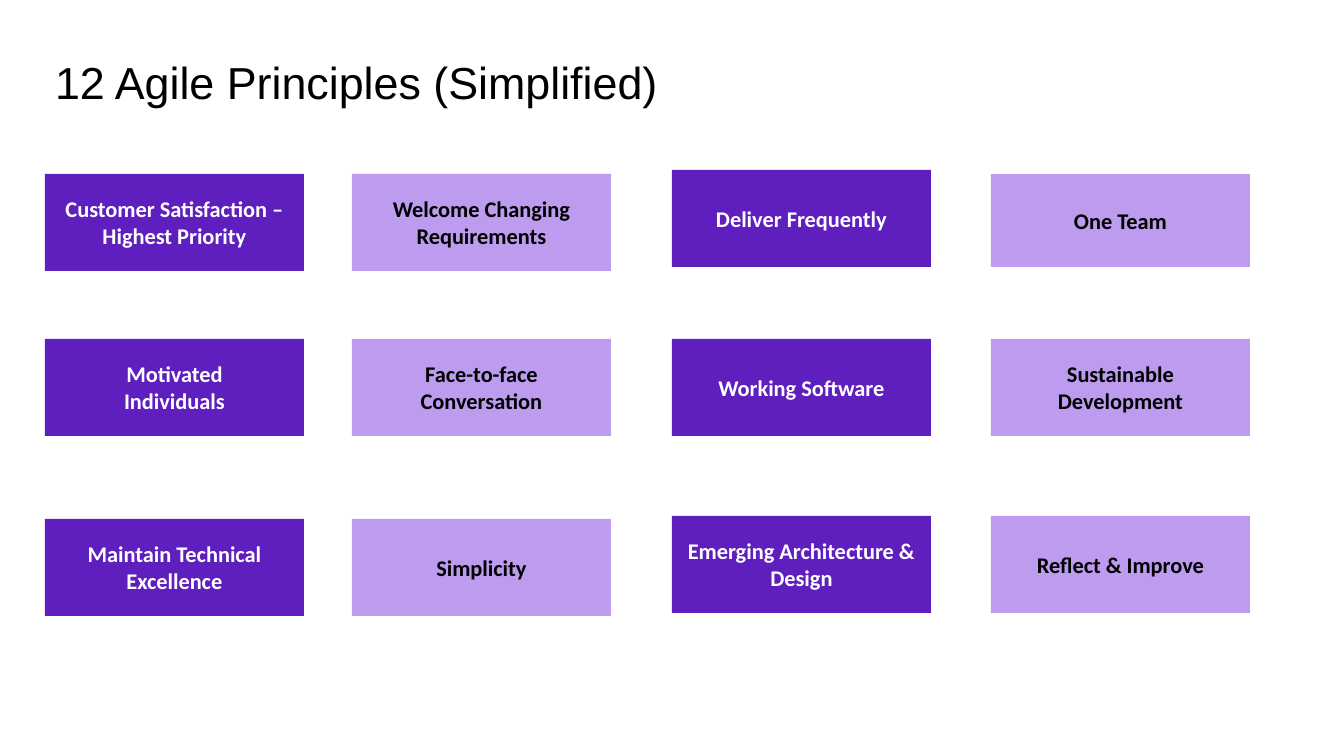
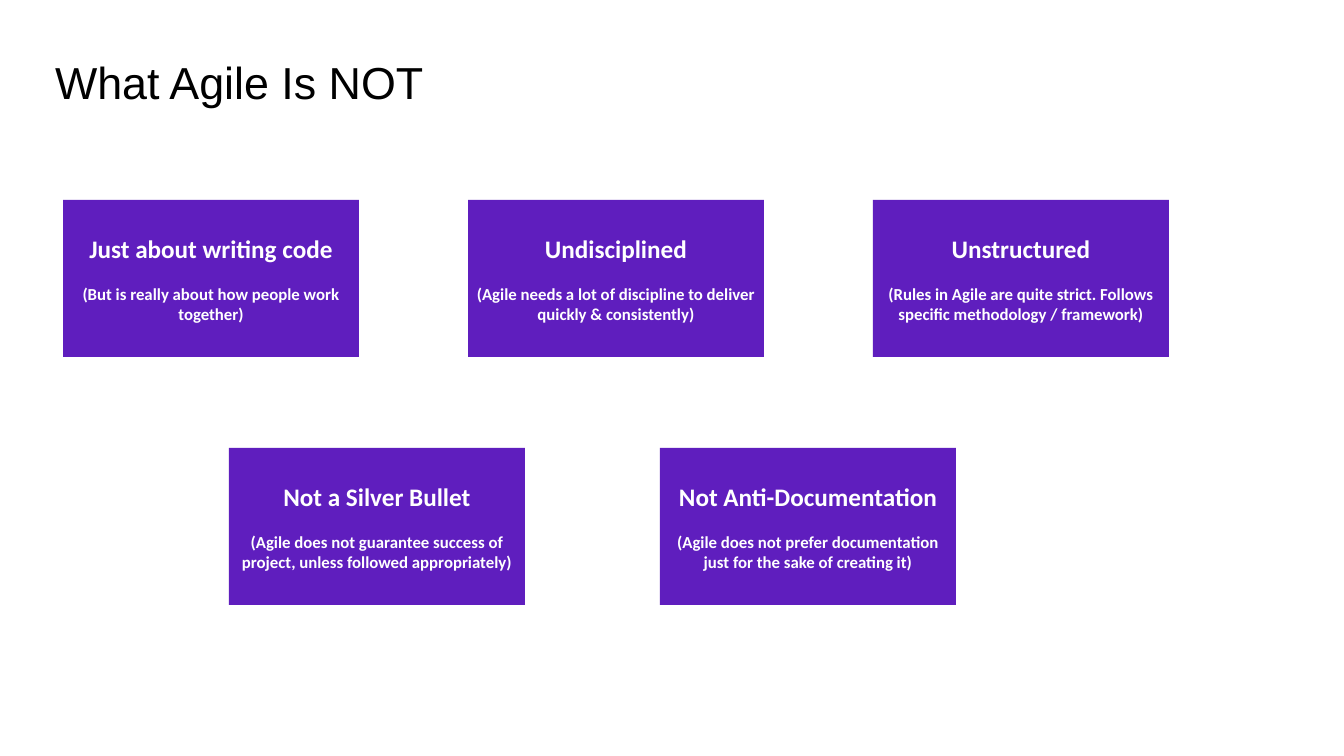
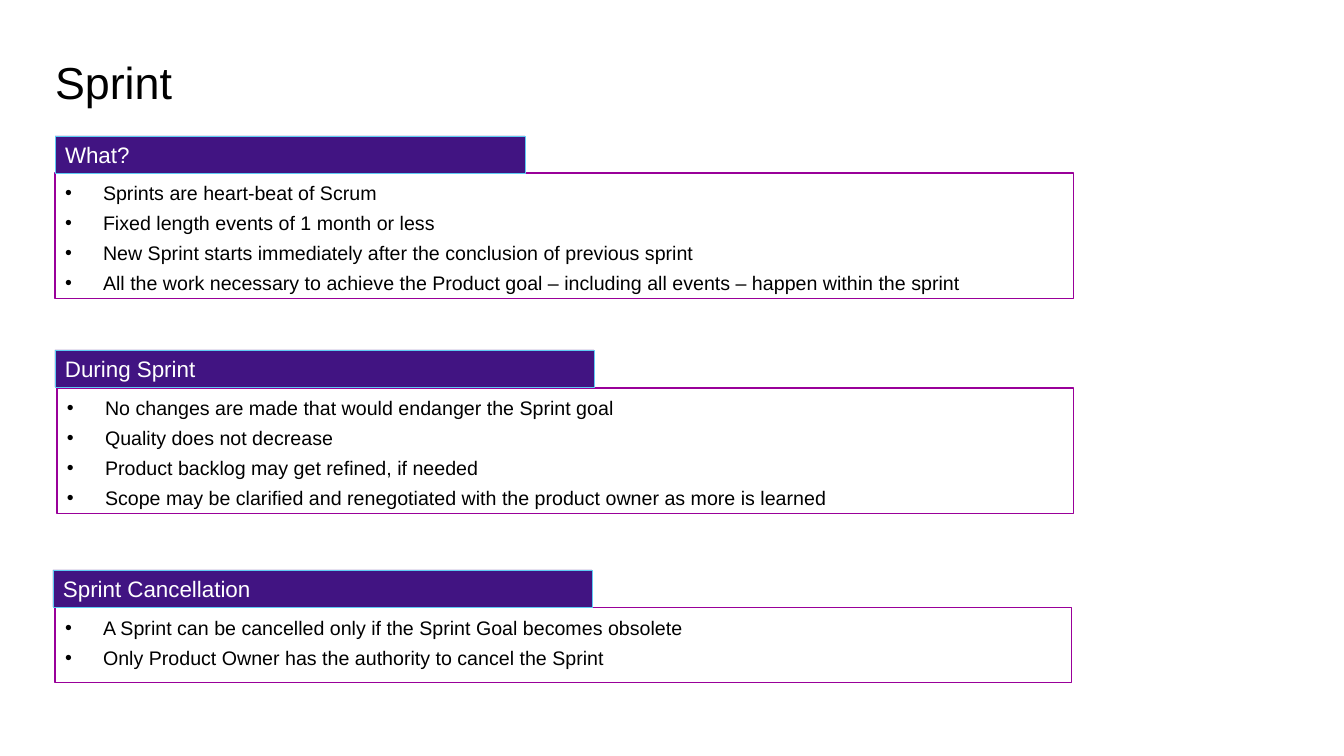
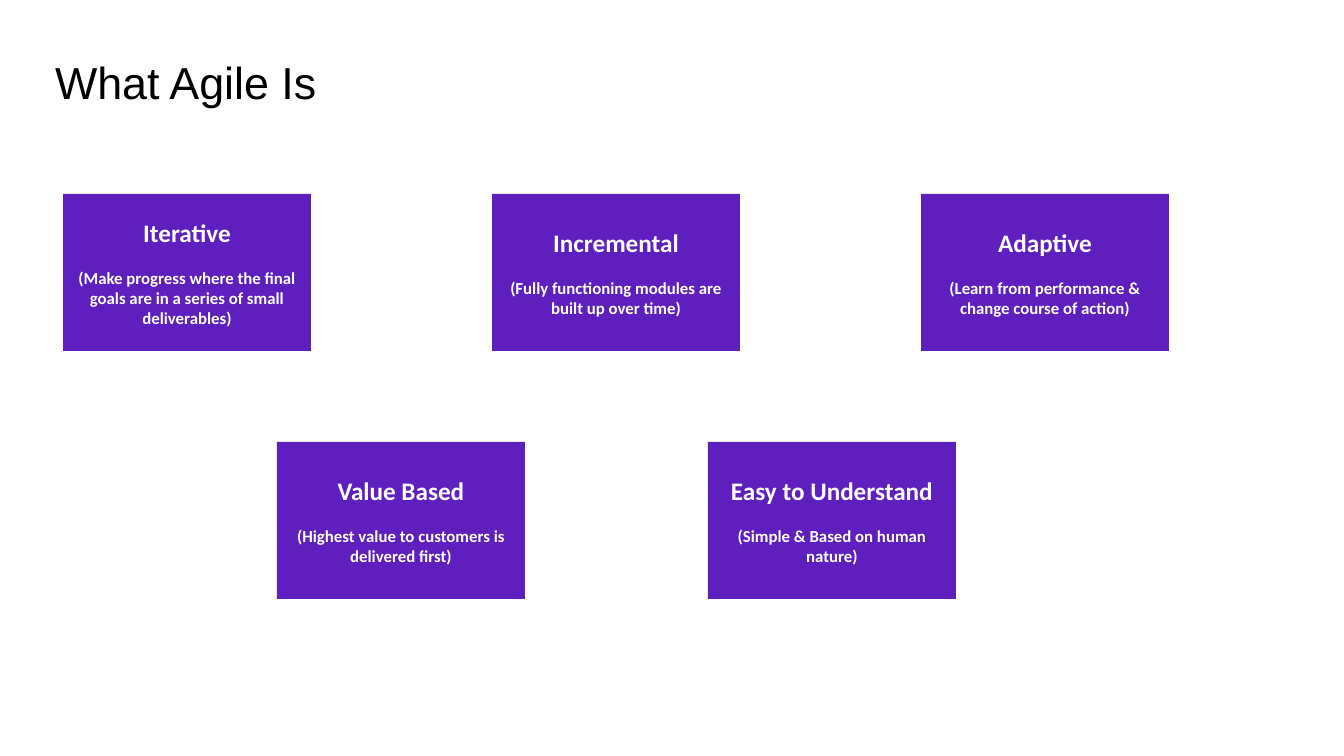
from lxml.etree import SubElement
from pptx import Presentation
from pptx.dml.color import RGBColor
from pptx.enum.shapes import MSO_SHAPE
from pptx.enum.text import MSO_ANCHOR, MSO_AUTO_SIZE, PP_ALIGN
from pptx.oxml.ns import qn
from pptx.util import Emu, Pt

WIDE, HIGH = 1344, 756
SCALE = 12192000 / WIDE
BLACK, WHITE = "000000", "FFFFFF"
DARK, LIGHT = "5F1EBE", "BD9BEF"
BAND, CYAN, PINK = "411482", "5ECCF3", "990099"


def px(count):
    return Emu(round(count * SCALE))


def paint(target, color):
    target.rgb = RGBColor.from_string(color)


def style(para, name, size, color, bold=False):
    font = para.font
    font.name, font.size, font.bold = name, Pt(size), bold
    paint(font.color, color)


def start(deck, text):
    slide = deck.slides.add_slide(deck.slide_layouts[5])
    title = slide.shapes.title
    title.left, title.top, title.width, title.height = map(px, (55, 62, 1149, 47))
    frame = title.text_frame
    frame.text = text
    frame.auto_size = MSO_AUTO_SIZE.NONE
    frame.vertical_anchor = MSO_ANCHOR.BOTTOM
    frame.margin_left = frame.margin_right = 0
    frame.margin_top = frame.margin_bottom = 0
    para = frame.paragraphs[0]
    para.alignment = PP_ALIGN.LEFT
    para.line_spacing = 0.84
    style(para, "Arial", 32, BLACK)
    return slide


def box(slide, place, lines, fill=None, edge=None, weight=0.75):
    shape = slide.shapes.add_shape(MSO_SHAPE.RECTANGLE, *map(px, place))
    shape.shadow.inherit = False
    if fill:
        shape.fill.solid()
        paint(shape.fill.fore_color, fill)
    else:
        shape.fill.background()
    if edge:
        paint(shape.line.color, edge)
        shape.line.width = Pt(weight)
    else:
        shape.line.fill.background()
    frame = shape.text_frame
    frame.text = "\n".join(lines)
    frame.word_wrap = True
    frame.margin_left = frame.margin_right = px(8)
    return frame


def tile(slide, place, lines, fill):
    frame = box(slide, place, lines, fill)
    for para in frame.paragraphs:
        para.alignment = PP_ALIGN.CENTER
        style(para, "Calibri", 16, WHITE if fill == DARK else BLACK, True)


def card(slide, place, head, note):
    top, low = box(slide, place, (head, f"({note})"), DARK).paragraphs
    low.space_before = Pt(14.6)
    for para, size in ((top, 18), (low, 12)):
        para.alignment = PP_ALIGN.CENTER
        style(para, "Calibri", size, WHITE, True)


def row(slide, left, top, step, width, cards):
    for index, (head, note) in enumerate(cards):
        card(slide, (left + index * step, top, width, 157), head, note)


def bullet(para):
    props = para._p.get_or_add_pPr()
    props.set("marL", str(px(38)))
    props.set("indent", str(-px(38)))
    SubElement(props, qn("a:buFont"), typeface="Arial")
    SubElement(props, qn("a:buChar"), char="•")


def panel(slide, place, lines):
    frame = box(slide, place, lines, edge=PINK)
    frame.vertical_anchor = MSO_ANCHOR.TOP
    frame.margin_left = px(10)
    frame.margin_top = px(8)
    for index, para in enumerate(frame.paragraphs):
        bullet(para)
        para.alignment = PP_ALIGN.LEFT
        if index:
            para.space_before = Pt(4.7)
        style(para, "Arial", 14, BLACK)


def band(slide, place, text):
    frame = box(slide, place, (text,), BAND, CYAN, 0.5)
    frame.margin_left = px(10)
    para = frame.paragraphs[0]
    para.alignment = PP_ALIGN.LEFT
    style(para, "Arial", 16, WHITE)


def rules(deck):
    slide = start(deck, "12 Agile Principles (Simplified)")
    columns = (
        (45, DARK, (174, 339, 519), (
            ("Customer Satisfaction – Highest Priority",),
            ("Motivated", "Individuals"),
            ("Maintain Technical Excellence",))),
        (352, LIGHT, (174, 339, 519), (
            ("Welcome Changing Requirements",),
            ("Face-to-face", "Conversation"),
            ("Simplicity",))),
        (672, DARK, (170, 339, 516), (
            ("Deliver Frequently",),
            ("Working Software",),
            ("Emerging Architecture & Design",))),
        (991, LIGHT, (174, 339, 516), (
            ("One Team",),
            ("Sustainable", "Development"),
            ("Reflect & Improve",))),
    )
    for left, fill, tops, texts in columns:
        for top, lines in zip(tops, texts):
            high = 93 if lines == ("One Team",) else 97
            tile(slide, (left, top, 259, high), lines, fill)


def myths(deck):
    slide = start(deck, "What Agile Is NOT")
    row(slide, 63, 200, 405, 296, (
        ("Just about writing code",
         "But is really about how people work together"),
        ("Undisciplined",
         "Agile needs a lot of discipline to deliver quickly & consistently"),
        ("Unstructured",
         "Rules in Agile are quite strict. Follows specific methodology / framework"),
    ))
    row(slide, 229, 448, 431, 296, (
        ("Not a Silver Bullet",
         "Agile does not guarantee success of project, unless followed appropriately"),
        ("Not Anti-Documentation",
         "Agile does not prefer documentation just for the sake of creating it"),
    ))


def sprint(deck):
    slide = start(deck, "Sprint")
    parts = (
        ("What?", (55, 136, 470, 37), (55, 173, 1019, 126), (
            "Sprints are heart-beat of Scrum",
            "Fixed length events of 1 month or less",
            "New Sprint starts immediately after the conclusion of previous sprint",
            "All the work necessary to achieve the Product goal – including all events"
            " – happen within the sprint")),
        ("During Sprint", (55, 350, 539, 37), (57, 388, 1017, 126), (
            "No changes are made that would endanger the Sprint goal",
            "Quality does not decrease",
            "Product backlog may get refined, if needed",
            "Scope may be clarified and renegotiated with the product owner"
            " as more is learned")),
        ("Sprint Cancellation", (53, 570, 539, 37), (55, 608, 1017, 75), (
            "A Sprint can be cancelled only if the Sprint Goal becomes obsolete",
            "Only Product Owner has the authority to cancel the Sprint")),
    )
    for head, strip, place, lines in parts:
        panel(slide, place, lines)
        band(slide, strip, head)


def traits(deck):
    slide = start(deck, "What Agile Is")
    row(slide, 63, 194, 429, 248, (
        ("Iterative",
         "Make progress where the final goals are in a series of small deliverables"),
        ("Incremental", "Fully functioning modules are built up over time"),
        ("Adaptive", "Learn from performance & change course of action"),
    ))
    row(slide, 277, 442, 431, 248, (
        ("Value Based", "Highest value to customers is delivered first"),
        ("Easy to Understand", "Simple & Based on human nature"),
    ))


def main():
    deck = Presentation()
    deck.slide_width, deck.slide_height = px(WIDE), px(HIGH)
    for build in (rules, myths, sprint, traits):
        build(deck)
    deck.save("out.pptx")


if __name__ == "__main__":
    main()
